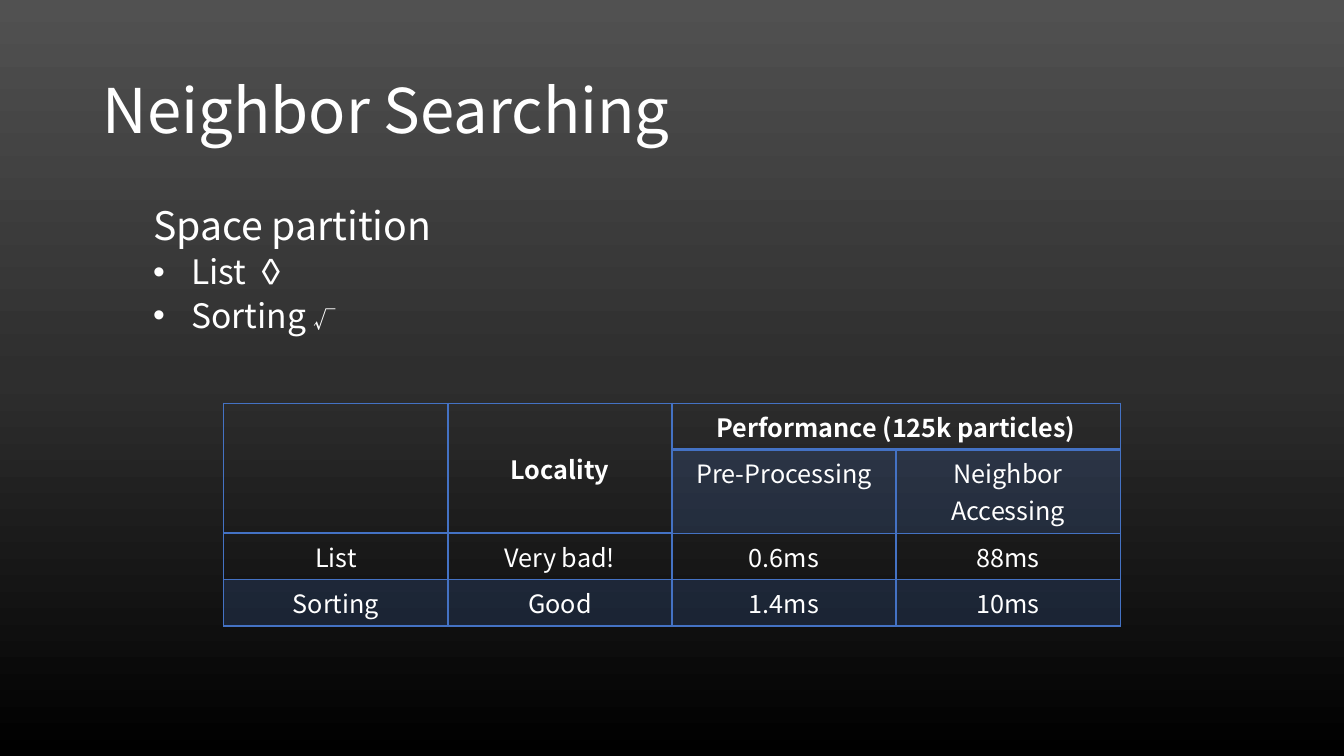
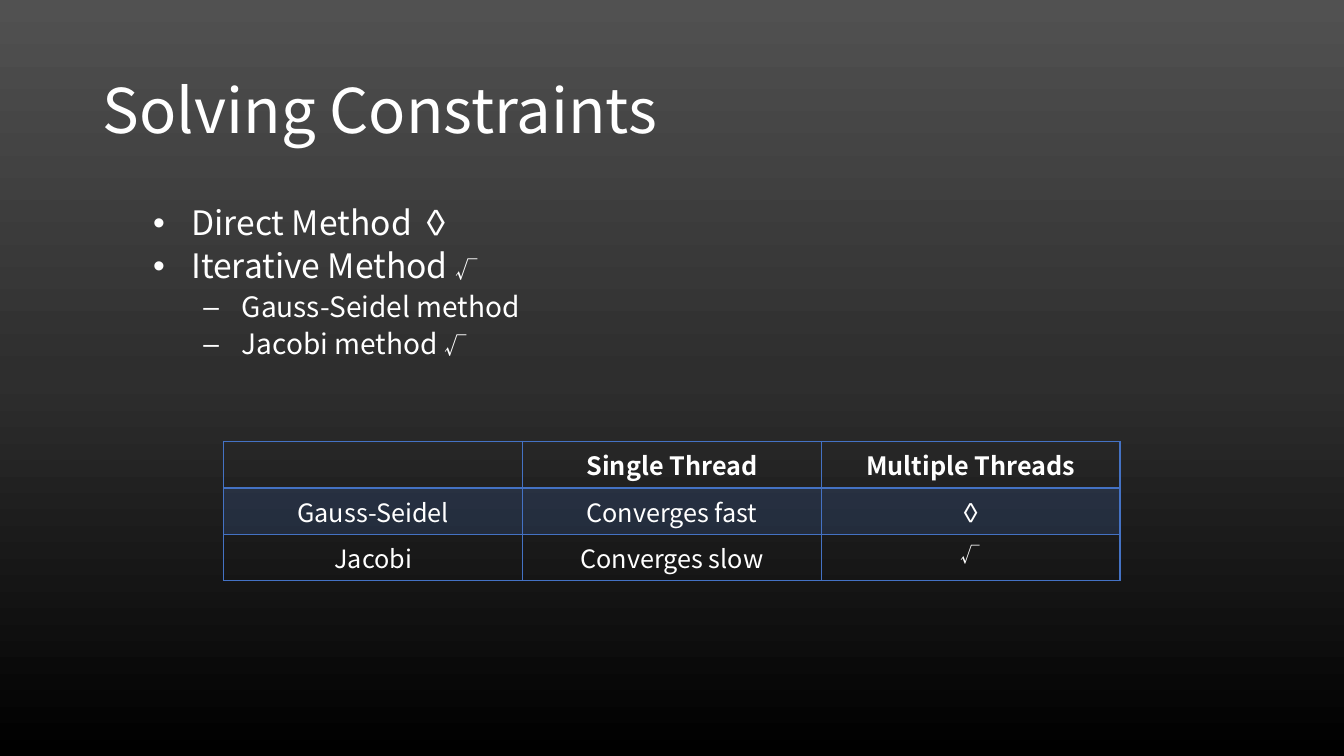
from copy import deepcopy

from lxml import etree
from pptx import Presentation
from pptx.dml.color import RGBColor
from pptx.enum.text import MSO_ANCHOR, PP_ALIGN
from pptx.oxml.ns import qn
from pptx.util import Inches, Pt

FONT = "Noto Sans CJK SC"
WHITE, BLUE = "FFFFFF", "4472C4"
STOPS = [(0, "515151"), (50, "2E2E2E"), (100, "000000")]
PLAIN = "{2D5ABB26-0587-4C30-8999-92F81FD0307C}"  # table style without lines
HEAD = (0.92, 0.4, 11.5, 1.45)
BODY = (0.92, 2, 11.5, 4.76)
ROW, TALL = 0.46, 0.83  # heights of one-line and two-line rows
# level: size, left indent, hanging indent, bullet
LEVELS = [(28, 0.5, 0, None), (24, 0.88, 0.38, "•"), (20, 1.38, 0.38, "–")]


def color(code):
    return RGBColor.from_string(code)


def place(shape, box):
    shape.left, shape.top, shape.width, shape.height = map(Inches, box)


def style(run, size, bold=False):
    font = run.font
    font.name, font.size, font.bold = FONT, Pt(size), bold
    font.color.rgb = color(WHITE)


def backdrop(master):
    """Vertical gradient shared by all slides."""
    fill = master.background.fill
    fill.gradient()
    fill.gradient_angle = 270
    stops = master.element.find(".//" + qn("a:gsLst"))
    model = deepcopy(stops[0])
    for old in list(stops):
        stops.remove(old)
    for pos, code in STOPS:
        stop = deepcopy(model)
        stop.set("pos", str(pos * 1000))
        for old in list(stop):
            stop.remove(old)
        etree.SubElement(stop, qn("a:srgbClr"), val=code)
        stops.append(stop)


def heading(slide, text, box=HEAD):
    title = slide.shapes.title
    place(title, box)
    frame = title.text_frame
    frame.text = text
    frame.vertical_anchor = MSO_ANCHOR.MIDDLE
    para = frame.paragraphs[0]
    para.alignment, para.line_spacing = PP_ALIGN.LEFT, 0.9
    style(para.runs[0], 44)


def outline(slide, lines, box=BODY):
    """Lines of (level, text, optional small mark)."""
    frame = slide.shapes.add_textbox(*map(Inches, box)).text_frame
    frame.word_wrap = True
    for i, (level, text, *mark) in enumerate(lines):
        para = frame.add_paragraph() if i else frame.paragraphs[0]
        size, left, hang, bullet = LEVELS[level]
        para.line_spacing = 0.9
        if i:
            para.space_before = Pt(5)
        props = para._p.get_or_add_pPr()
        props.set("marL", str(Inches(left)))
        props.set("indent", str(-Inches(hang)))
        if bullet:
            etree.SubElement(props, qn("a:buFont"), typeface="Arial")
            etree.SubElement(props, qn("a:buChar"), char=bullet)
        para.text = text
        style(para.runs[0], size)
        for sign in mark:
            run = para.add_run()
            run.text = sign
            style(run, 16)


def border(cell, side, width):
    props = cell._tc.get_or_add_tcPr()
    line = etree.SubElement(props, qn("a:ln" + side), w=str(Pt(width)))
    solid = etree.SubElement(line, qn("a:solidFill"))
    etree.SubElement(solid, qn("a:srgbClr"), val=BLUE)


def tint(cell):
    """Blue fill at 20 percent."""
    cell.fill.solid()
    cell.fill.fore_color.rgb = color(BLUE)
    shade = cell._tc.tcPr.find(qn("a:solidFill"))[0]
    etree.SubElement(shade, qn("a:alpha"), val="20000")


def fill_cell(cell, text, head, band):
    for side in "LRTB" if head else "LRB":
        border(cell, side, 2 if head and side == "B" else 1)
    if band:
        tint(cell)
    else:
        cell.fill.background()
    if cell.is_merge_origin and cell.span_height > 1:
        cell.vertical_anchor = MSO_ANCHOR.MIDDLE
    cell.text_frame.text = text
    para = cell.text_frame.paragraphs[0]
    para.alignment = PP_ALIGN.CENTER
    for run in para.runs:
        style(run, 14 if text == "√" else 18, head)


def grid(slide, top, rows, bands, merges=(), tall=()):
    """Table with one header row; bands are tinted, tall rows hold two lines."""
    sizes = [TALL if r in tall else ROW for r in range(len(rows))]
    box = (2.22, top, 8.89, sum(sizes))
    frame = slide.shapes.add_table(len(rows), len(rows[0]), *map(Inches, box))
    table = frame.table
    table._tbl.tblPr.find(qn("a:tableStyleId")).text = PLAIN
    for line, size in zip(table.rows, sizes):
        line.height = Inches(size)
    for first, last in merges:
        table.cell(*first).merge(table.cell(*last))
    for r, row in enumerate(rows):
        for c, text in enumerate(row):
            cell = table.cell(r, c)
            if not cell.is_spanned:
                fill_cell(cell, text, r == 0, r in bands)


def search(slide):
    heading(slide, "Neighbor Searching")
    outline(slide, [(0, "Space partition"), (1, "List ◊"),
                    (1, "Sorting ", "√")])
    rows = [
        ["", "Locality", "Performance (125k particles)", ""],
        ["", "", "Pre-Processing", "Neighbor Accessing"],
        ["List", "Very bad!", "0.6ms", "88ms"],
        ["Sorting", "Good", "1.4ms", "10ms"],
    ]
    merges = [((0, 0), (1, 0)), ((0, 1), (1, 1)), ((0, 2), (0, 3))]
    grid(slide, 4, rows, (1, 3), merges, tall=(1,))


def solving(slide):
    heading(slide, "Solving Constraints")
    outline(slide, [(1, "Direct Method ◊"), (1, "Iterative Method ", "√"),
                    (2, "Gauss-Seidel method"), (2, "Jacobi method ", "√")])
    rows = [
        ["", "Single Thread", "Multiple Threads"],
        ["Gauss-Seidel", "Converges fast", "◊"],
        ["Jacobi", "Converges slow", "√"],
    ]
    grid(slide, 4.38, rows, (1,))


def main():
    deck = Presentation()
    deck.slide_width, deck.slide_height = Inches(13.33), Inches(7.5)
    backdrop(deck.slide_master)
    for build in (search, solving):
        build(deck.slides.add_slide(deck.slide_layouts[5]))
    deck.save("out.pptx")


if __name__ == "__main__":
    main()
